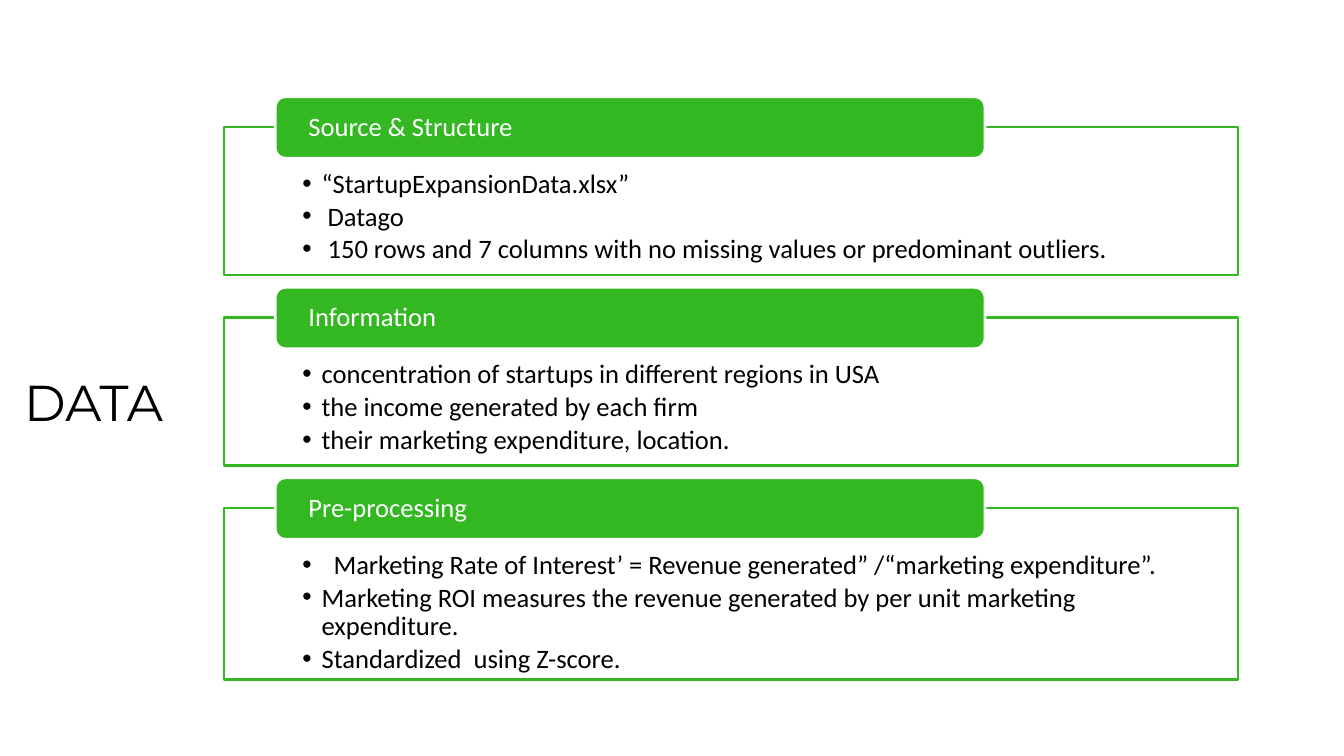
from lxml.etree import SubElement
from pptx import Presentation
from pptx.dml.color import RGBColor
from pptx.enum.shapes import MSO_SHAPE as Shape
from pptx.enum.text import MSO_ANCHOR as Anchor, MSO_AUTO_SIZE as AutoSize, PP_ALIGN as Align
from pptx.oxml.ns import qn
from pptx.util import Inches, Pt

GREEN = RGBColor(0x33, 0xB8, 0x22)
WHITE = RGBColor(0xFF, 0xFF, 0xFF)
BLACK = RGBColor(0, 0, 0)

SECTIONS = [
    ("Source & Structure", 1.26, 1.47, [
        "“StartupExpansionData.xlsx”",
        " Datago",
        " 150 rows and 7 columns with no missing values or predominant outliers.",
    ]),
    ("Information", 3.15, 1.47, [
        "concentration of startups in different regions in USA",
        "the income generated by each firm",
        "their marketing expenditure, location.",
    ]),
    ("Pre-processing", 5.04, 1.7, [
        "  Marketing Rate of Interest’ = Revenue generated” /“marketing expenditure”.",
        "Marketing ROI measures the revenue generated by per unit marketing expenditure.",
        "Standardized  using Z-score.",
    ]),
]
PANEL_FORMAT = {
    "word_wrap": True, "vertical_anchor": Anchor.TOP,
    "margin_left": Inches(0.78), "margin_right": Inches(0.78),
    "margin_top": Inches(0.43), "margin_bottom": Inches(0.15),
}
HEADING_FORMAT = {
    "word_wrap": True, "vertical_anchor": Anchor.MIDDLE,
    "margin_left": Inches(0.3), "margin_right": Inches(0.3),
    "margin_top": 0, "margin_bottom": 0,
}
TITLE_FORMAT = {
    "word_wrap": True, "vertical_anchor": Anchor.TOP, "auto_size": AutoSize.SHAPE_TO_FIT_TEXT,
    "margin_left": Inches(0.1), "margin_right": Inches(0.1),
    "margin_top": Inches(0.05), "margin_bottom": Inches(0.05),
}


def add_box(kind, place, fill, line, line_width, frame_format):
    box = slide.shapes.add_shape(kind, *[Inches(length) for length in place])
    box.shadow.inherit = False
    box.fill.solid()
    box.fill.fore_color.rgb = fill
    box.line.color.rgb = line
    box.line.width = Pt(line_width)
    for attribute, value in frame_format.items():
        setattr(box.text_frame, attribute, value)
    return box.text_frame


def write(paragraph, text, color, space_after, size=19, typeface="Calibri", spacing=0.9):
    paragraph.alignment = Align.LEFT
    paragraph.line_spacing = spacing
    paragraph.space_after = Pt(space_after)
    run = paragraph.add_run()
    run.text = text
    run.font.name = typeface
    run.font.size = Pt(size)
    run.font.color.rgb = color


deck = Presentation()
deck.slide_width, deck.slide_height = Inches(13.33), Inches(7.5)
slide = deck.slides.add_slide(deck.slide_layouts[5])
slide.background.fill.solid()
slide.background.fill.fore_color.rgb = WHITE

title = slide.shapes.title
title.left, title.top = Inches(0.14), Inches(3.63)
title.width, title.height = Inches(1.83), Inches(0.71)
for attribute, value in TITLE_FORMAT.items():
    setattr(title.text_frame, attribute, value)
write(title.text_frame.paragraphs[0], "DATA", BLACK, 6, 36, "Montserrat", 1.0)

for heading, top, height, points in SECTIONS:
    panel = add_box(Shape.RECTANGLE, (2.22, top, 10.06, height), WHITE, GREEN, 1.75, PANEL_FORMAT)
    for index, point in enumerate(points):
        paragraph = panel.add_paragraph() if index else panel.paragraphs[0]
        paragraph.level = 1
        write(paragraph, point, BLACK, 2.85)
        properties = paragraph._p.get_or_add_pPr()
        properties.set("marL", str(Inches(0.19)))
        properties.set("indent", str(Inches(-0.19)))
        SubElement(properties, qn("a:buFont"), typeface="Arial")
        SubElement(properties, qn("a:buChar"), char="•")

    tab = add_box(Shape.ROUNDED_RECTANGLE, (2.73, top - 0.3, 7.04, 0.61), GREEN, WHITE, 2, HEADING_FORMAT)
    write(tab.paragraphs[0], heading, WHITE, 6.65)

deck.save("out.pptx")
